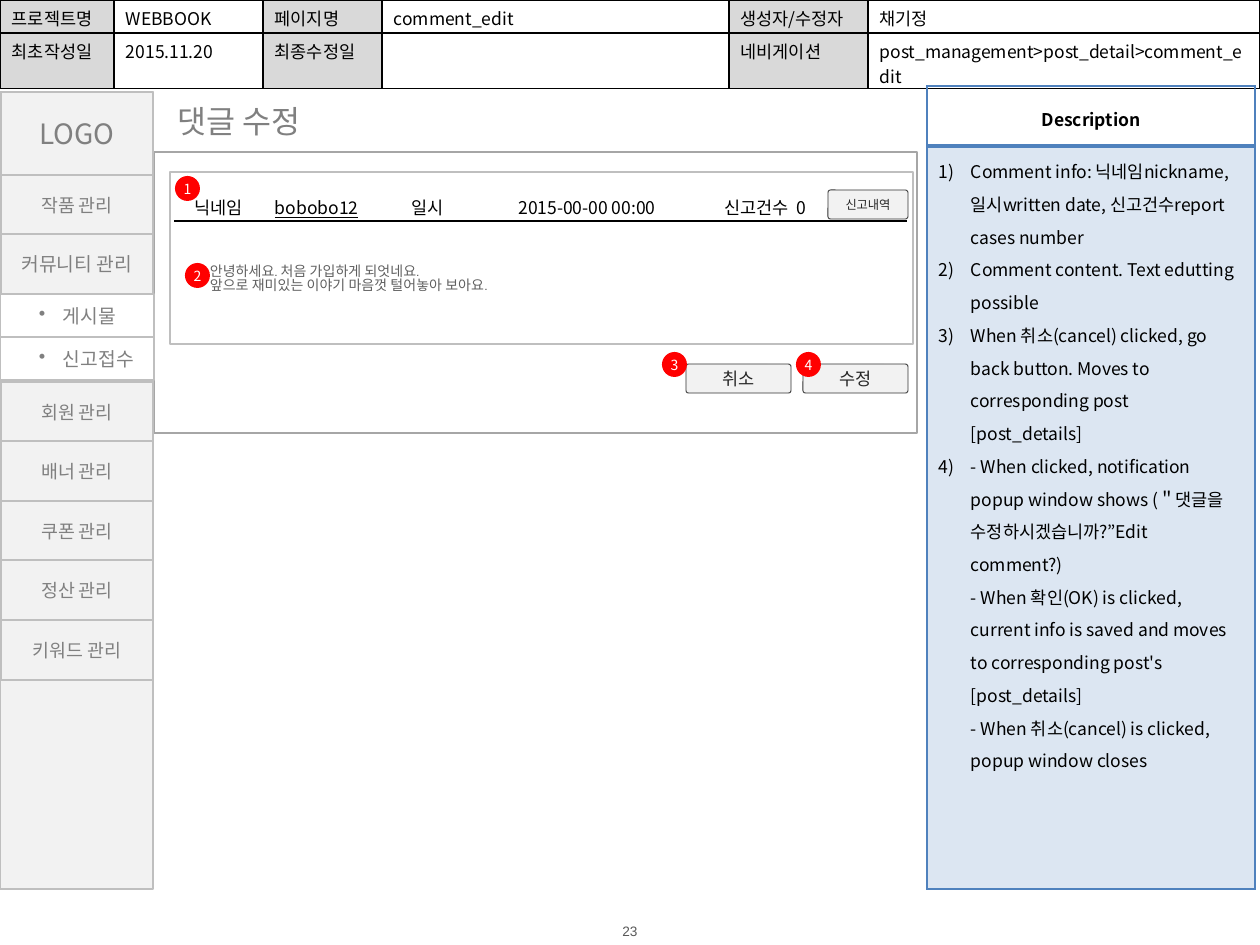
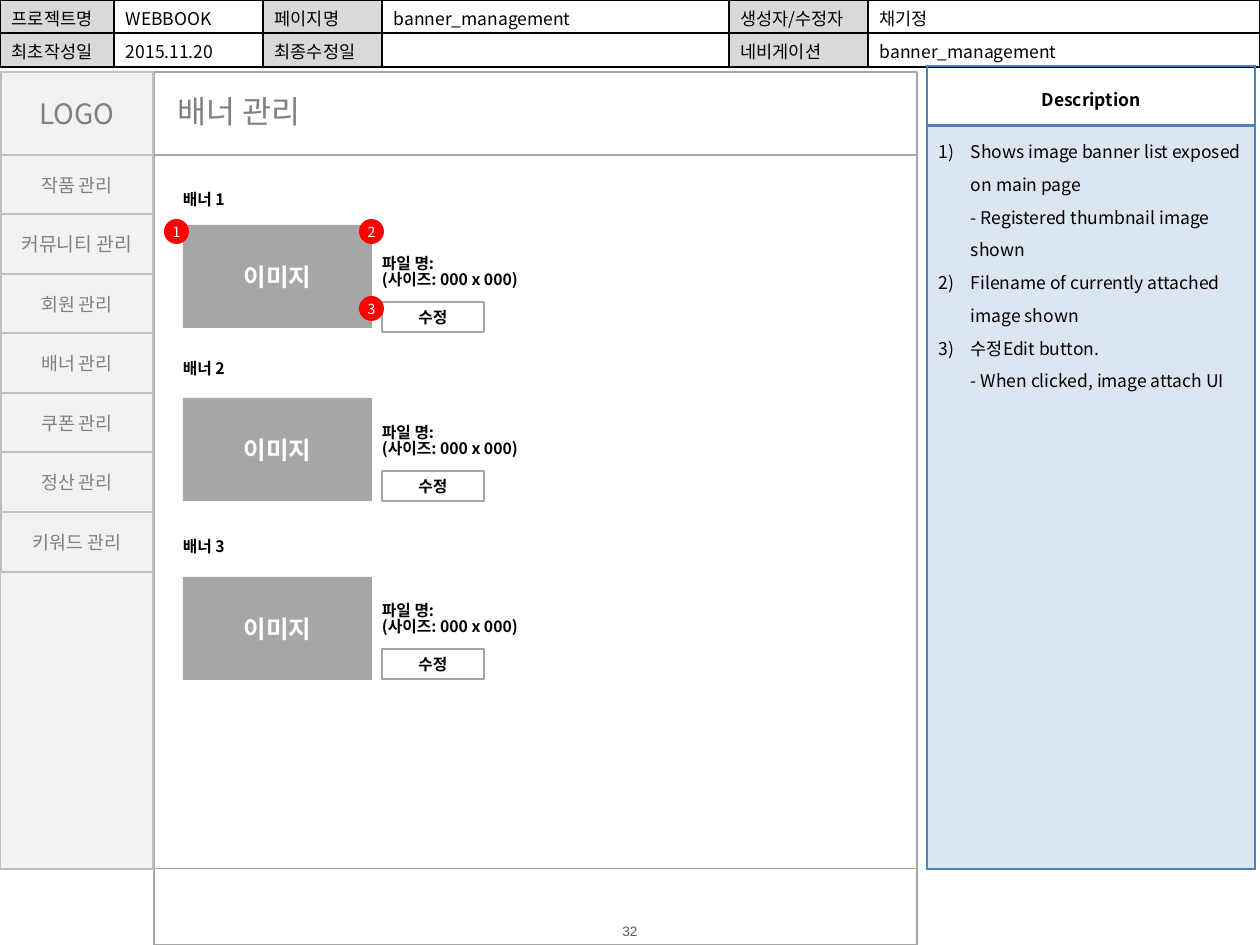
from copy import deepcopy

from lxml.etree import SubElement
from pptx import Presentation
from pptx.dml.color import RGBColor
from pptx.enum.shapes import MSO_SHAPE as Shape
from pptx.enum.text import MSO_ANCHOR as Anchor, PP_ALIGN as Align
from pptx.oxml.ns import qn
from pptx.util import Pt

PX = 7257
BLACK = RGBColor(0x00, 0x00, 0x00)
WHITE = RGBColor(0xFF, 0xFF, 0xFF)
RED = RGBColor(0xFF, 0x00, 0x00)
BLUE = RGBColor(0x4F, 0x81, 0xBD)
PALE_BLUE = RGBColor(0xDC, 0xE6, 0xF2)
LABEL_GREY = RGBColor(0xD9, 0xD9, 0xD9)
PANEL_GREY = RGBColor(0xF2, 0xF2, 0xF2)
EDGE_GREY = RGBColor(0xBF, 0xBF, 0xBF)
FRAME_GREY = RGBColor(0xA6, 0xA6, 0xA6)
MENU_GREY = RGBColor(0x80, 0x80, 0x80)
COMMENT_GREY = RGBColor(0x5F, 0x5F, 0x5F)
NUMBER_GREY = RGBColor(0x59, 0x59, 0x59)
BUTTON_INK = RGBColor(0x26, 0x26, 0x26)
BUTTON_EDGE = RGBColor(0x33, 0x33, 0x33)
FONT = "Noto Sans CJK KR"


def write(frame, text, size=10, color=BLACK, font=FONT, bold=False, underline=False,
          align=Align.LEFT, spacing=None, bullet=None, indent=0):
    paragraphs = [text] if isinstance(text, str) else text
    for index, words in enumerate(paragraphs):
        para = frame.add_paragraph() if index else frame.paragraphs[0]
        para.text = words
        para.alignment = align
        if spacing:
            para.line_spacing = spacing
        for span in para.runs:
            span.font.size = Pt(size)
            span.font.bold = bold
            span.font.underline = underline
            span.font.color.rgb = color
            span.font.name = font
            SubElement(span.font._element, qn("a:ea"), typeface=FONT)
        for line_break in para._p.findall(qn("a:br")):
            line_break.insert(0, deepcopy(para.runs[0].font._element))
        if bullet:
            properties = para._p.get_or_add_pPr()
            properties.set("marL", str(indent * PX))
            properties.set("indent", str(-indent * PX))
            if bullet == "•":
                SubElement(properties, qn("a:buChar"), char=bullet)
            else:
                SubElement(properties, qn("a:buAutoNum"), type=bullet)
        if not words:
            SubElement(para._p, qn("a:endParaRPr"), sz=str(size * 100))


def draw(page, kind, box, text="", fill=None, line=None, width=1, inset=0, wrap=True,
         **text_format):
    place = [value * PX for value in box]
    if kind is None:
        shape = page.shapes.add_textbox(*place)
    else:
        shape = page.shapes.add_shape(kind, *place)
        shape.shadow.inherit = False
        if kind == Shape.ROUNDED_RECTANGLE:
            shape.adjustments[0] = 0.09
        if fill is None:
            shape.fill.background()
        else:
            shape.fill.solid()
            shape.fill.fore_color.rgb = fill
        if line is None:
            shape.line.fill.background()
        else:
            shape.line.color.rgb = line
            shape.line.width = Pt(width)
    frame = shape.text_frame
    frame.word_wrap = wrap
    frame.vertical_anchor = Anchor.MIDDLE
    frame.margin_left = inset * PX
    frame.margin_right = frame.margin_top = frame.margin_bottom = 0
    if text:
        write(frame, text, **text_format)


CENTRED = dict(align=Align.CENTER)
MENU = dict(fill=PANEL_GREY, line=EDGE_GREY, color=MENU_GREY, **CENTRED)
BUTTON = dict(fill=PANEL_GREY, line=BUTTON_EDGE, width=0.5, color=BUTTON_INK,
              font="Calibri", **CENTRED)
BADGE = dict(fill=RED, color=WHITE, size=8, **CENTRED)
BOLD_LABEL = dict(size=9, bold=True)
NOTES = dict(spacing=1.3, bullet="arabicParenR", indent=32)

MENU_ITEMS = ["작품 관리", "커뮤니티 관리", "회원 관리", "배너 관리", "쿠폰 관리", "정산 관리",
              "키워드 관리"]
SUBMENU = ["게시물", "신고접수"]

comment_notes = [
    "Comment info: 닉네임nickname, 일시written date, 신고건수report cases number",
    "Comment content. Text edutting possible",
    "When 취소(cancel) clicked, go back button. Moves to corresponding post [post_details]",
    "- When clicked, notification popup window shows (＂댓글을 수정하시겠습니까?”Edit comment?)\n"
    "- When 확인(OK) is clicked, current info is saved and moves to corresponding post's "
    "[post_details]\n"
    "- When 취소(cancel) is clicked, popup window closes",
]
banner_notes = [
    "Shows image banner list exposed on main page\n- Registered thumbnail image shown",
    "Filename of currently attached image shown",
    "수정Edit button.\n- When clicked, image attach UI",
]
comment_info = dict(
    left=174, top=188, columns=[89, 110, 110, 208, 148, 68], rows=[33],
    cells=[[("닉네임", None, CENTRED), ("bobobo12", None, dict(underline=True)),
            ("일시", None, CENTRED), ("2015-00-00 00:00", None, CENTRED),
            ("신고건수\u00a0 0".replace("\u00a0", " "), None, CENTRED), ("", None, {})]],
    borders=[{"B": (BLACK, 1)}], anchors=[Anchor.MIDDLE])

screens = [
    dict(number="23", name="comment_edit", title="댓글 수정", title_top=96, top=92,
         navigation="post_management>post_detail>comment_edit", header_rows=[33, 55],
         notes=comment_notes, notes_top=86, frames=[(154, 152, 763, 281)],
         submenu=SUBMENU, submenu_height=88, tables=[comment_info],
         badges=[(175, 176), (185, 263), (662, 352), (796, 352)]),
    dict(number="32", name="banner_management", title="배너 관리", title_top=86, top=72,
         navigation="banner_management", header_rows=[33, 34],
         notes=banner_notes, notes_top=66,
         frames=[(154, 72, 763, 797), (154, 155, 763, 790)],
         submenu=[], submenu_height=0, tables=[],
         badges=[(164, 219), (359, 219), (359, 296)]),
]

deck = Presentation()
deck.slide_width = 1260 * PX
deck.slide_height = 945 * PX
pages = []

for screen in screens:
    page = deck.slides.add_slide(deck.slide_layouts[6])
    pages.append(page)
    header_text = [
        ["프로젝트명", "WEBBOOK", "페이지명", screen["name"], "생성자/수정자", "채기정"],
        ["최초작성일", "2015.11.20", "최종수정일", "", "네비게이션", screen["navigation"]],
    ]
    header = dict(
        left=0, top=0, columns=[114, 149, 119, 347, 139, 392], rows=screen["header_rows"],
        cells=[[(text, None if column % 2 else LABEL_GREY, {})
                for column, text in enumerate(row)] for row in header_text],
        borders=[dict.fromkeys("LRTB", (BLACK, 1))] * 2, anchors=[Anchor.TOP] * 2)
    thin_blue = dict.fromkeys("LRTB", (BLUE, 1))
    description = dict(
        left=927, top=screen["notes_top"], columns=[328], rows=[60, 743],
        cells=[[("Description", None, dict(bold=True, **CENTRED))],
               [(screen["notes"], PALE_BLUE, NOTES)]],
        borders=[{**thin_blue, "B": (BLUE, 2)}, {**thin_blue, "T": (BLUE, 2)}],
        anchors=[Anchor.MIDDLE, Anchor.TOP])

    for layout in [header, description, *screen["tables"]]:
        columns, rows = layout["columns"], layout["rows"]
        table = page.shapes.add_table(
            len(rows), len(columns), layout["left"] * PX, layout["top"] * PX,
            sum(columns) * PX, sum(rows) * PX).table
        table.first_row = table.horz_banding = False
        for column, width in zip(table.columns, columns):
            column.width = width * PX
        for row_index, height in enumerate(rows):
            table.rows[row_index].height = height * PX
            for column_index, (text, fill, style) in enumerate(layout["cells"][row_index]):
                cell = table.cell(row_index, column_index)
                cell.margin_left = cell.margin_right = 12 * PX
                cell.margin_top, cell.margin_bottom = 5 * PX, 0
                cell.vertical_anchor = layout["anchors"][row_index]
                properties = cell._tc.get_or_add_tcPr()
                for side in "LRTB":
                    color, weight = layout["borders"][row_index].get(side, (None, 0))
                    edge = SubElement(properties, qn("a:ln" + side), w=str(Pt(weight)))
                    if color is None:
                        SubElement(edge, qn("a:noFill"))
                    else:
                        paint = SubElement(edge, qn("a:solidFill"))
                        SubElement(paint, qn("a:srgbClr"), val=str(color))
                if fill is None:
                    cell.fill.background()
                else:
                    cell.fill.solid()
                    cell.fill.fore_color.rgb = fill
                write(cell.text_frame, text, **style)

    for frame_box in screen["frames"]:
        draw(page, Shape.RECTANGLE, frame_box, line=FRAME_GREY, width=0.75)
    draw(page, None, (178, screen["title_top"], 150, 50), screen["title"], wrap=False,
         size=18, color=MENU_GREY)

    top = screen["top"]
    draw(page, Shape.RECTANGLE, (0, top, 153, 797), fill=PANEL_GREY, line=EDGE_GREY)
    draw(page, Shape.RECTANGLE, (1, top, 152, 83), "LOGO", size=16, **MENU)
    for index, item in enumerate(MENU_ITEMS):
        item_top = top + 83 + index * 119 // 2
        if index > 1:
            item_top += screen["submenu_height"]
        size = 11 if item == "커뮤니티 관리" else 10.5
        draw(page, Shape.RECTANGLE, (1, item_top, 152, 60), item, size=size, **MENU)
    for index, item in enumerate(screen["submenu"]):
        draw(page, Shape.RECTANGLE, (0, top + 202 + index * 43, 154, 43), item, fill=WHITE,
             line=EDGE_GREY, inset=39, size=11, color=MENU_GREY, bullet="•", indent=24)
    draw(page, None, (576, 922, 108, 18), screen["number"], size=7.8, font="Arial",
         color=NUMBER_GREY, **CENTRED)

comment_page, banner_page = pages

draw(comment_page, Shape.RECTANGLE, (170, 172, 743, 172), line=EDGE_GREY)
draw(comment_page, None, (210, 259, 655, 41),
     ["안녕하세요. 처음 가입하게 되엇네요.", "앞으로 재미있는 이야기 마음껏 털어놓아 보아요."],
     size=8, font="Cabin", color=COMMENT_GREY, spacing=0.85)
for left, button_top, width, text, size in [(828, 190, 80, "신고내역", 7),
                                            (686, 364, 105, "취소", 10),
                                            (803, 364, 105, "수정", 10)]:
    draw(comment_page, Shape.ROUNDED_RECTANGLE, (left, button_top, width, 29), text,
         size=size, **BUTTON)

for number, (label_top, image_top) in enumerate([(185, 225), (354, 398), (532, 577)], 1):
    draw(banner_page, Shape.RECTANGLE, (183, label_top, 62, 29), f"배너 {number}",
         fill=WHITE, **BOLD_LABEL)
    draw(banner_page, Shape.RECTANGLE, (183, image_top, 189, 103), "이미지",
         fill=FRAME_GREY, size=14, bold=True, color=WHITE, **CENTRED)
    draw(banner_page, None, (382, label_top + 69, 198, 38),
         ["파일 명:", "(사이즈: 000 x 000)"], spacing=0.85, **BOLD_LABEL)
    draw(banner_page, Shape.RECTANGLE, (382, label_top + 117, 102, 30), "수정",
         fill=WHITE, line=FRAME_GREY, **BOLD_LABEL, **CENTRED)

for page, screen in zip(pages, screens):
    for number, (left, badge_top) in enumerate(screen["badges"], 1):
        draw(page, Shape.OVAL, (left, badge_top, 25, 25), str(number), **BADGE)

deck.save("out.pptx")
